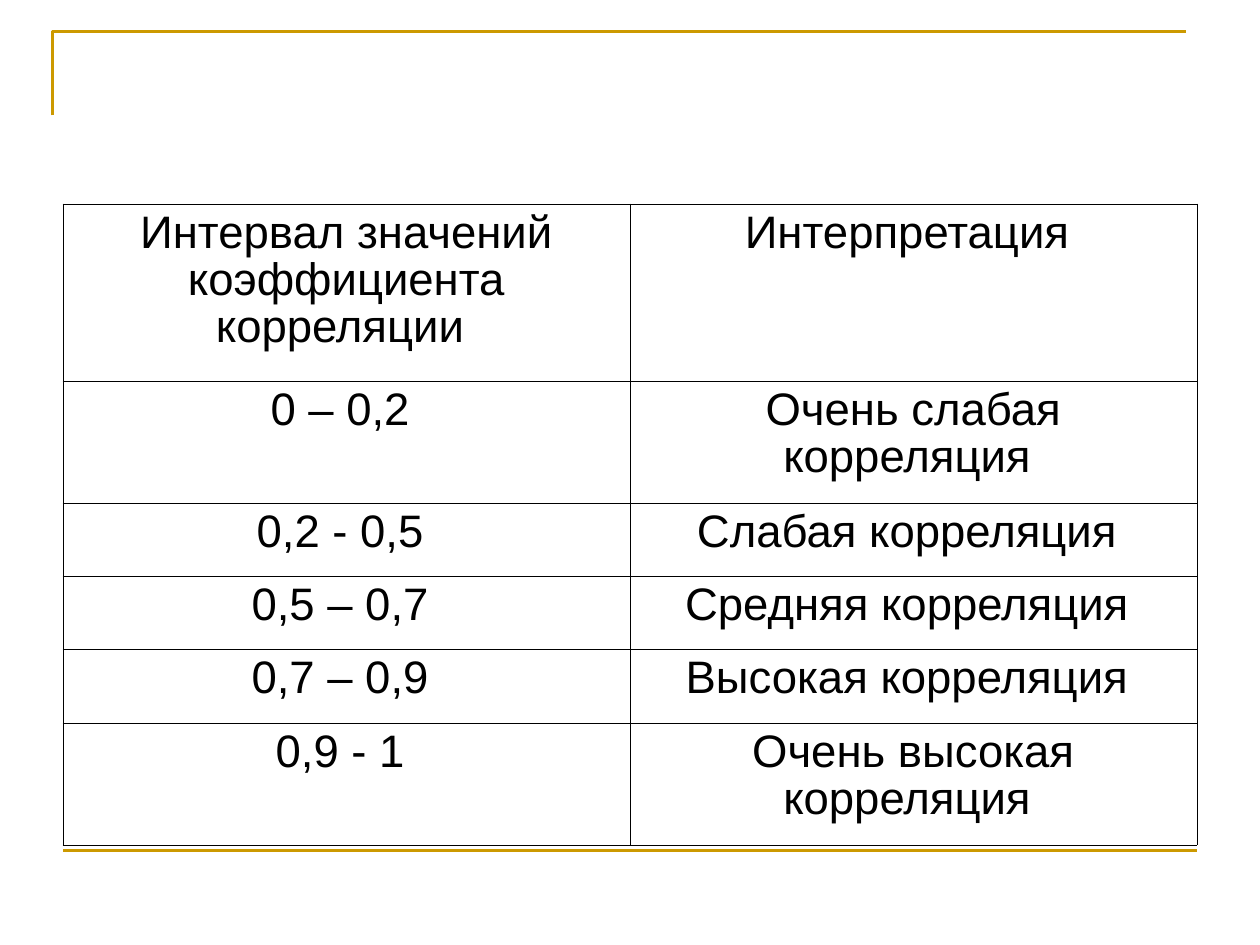
from lxml.etree import SubElement
from pptx import Presentation
from pptx.dml.color import RGBColor
from pptx.enum.shapes import MSO_CONNECTOR
from pptx.enum.text import PP_ALIGN
from pptx.oxml import parse_xml
from pptx.oxml.ns import nsdecls, qn
from pptx.util import Pt

CORRELATION_SCALE = [
    ("Интервал значений коэффициента корреляции ", "Интерпретация "),
    ("0 – 0,2 ", "Очень слабая корреляция "),
    ("0,2 - 0,5 ", "Слабая корреляция "),
    ("0,5 – 0,7 ", "Средняя корреляция "),
    ("0,7 – 0,9 ", "Высокая корреляция "),
    ("0,9 - 1 ", "Очень высокая корреляция "),
]
ROW_HEIGHTS = [101, 69.8, 41.9, 41.9, 41.9, 69.8]
THEME = {
    "font": "Arial", "size": 26, "text": "000000",
    "accent": "CC9900", "accent_width": 1.5,
    "border": "000000", "outer_width": 0.5, "inner_width": 0.23,
}
SLIDE_WIDTH, SLIDE_HEIGHT = 720, 540
MARGIN, SCALE_TOP, FOOTER_Y = 36, 116.64, 486
CORNER_LEFT, CORNER_TOP, CORNER_WIDTH, CORNER_HEIGHT = 30, 18, 648, 48


def write_text(frame, text, *, size, color, font, align, spacing, before):
    paragraph = frame.paragraphs[0]
    paragraph.alignment = align
    paragraph.line_spacing = spacing
    paragraph.space_before = Pt(before)
    run = paragraph.add_run()
    run.text = text
    run.font.size = Pt(size)
    run.font.name = font
    run.font.color.rgb = RGBColor.from_string(color)


def style_accent(line):
    line.color.rgb = RGBColor.from_string(THEME["accent"])
    line.width = Pt(THEME["accent_width"])


def draw_borders(cell, outer_sides):
    properties = cell._tc.get_or_add_tcPr()
    for position, side in enumerate("LRTB"):
        width = THEME["outer_width" if side in outer_sides else "inner_width"]
        border = parse_xml(
            f'<a:ln{side} {nsdecls("a")} w="{Pt(width)}"><a:solidFill>'
            f'<a:srgbClr val="{THEME["border"]}"/></a:solidFill></a:ln{side}>'
        )
        properties.insert(position, border)


def add_frame_lines(shapes):
    builder = shapes.build_freeform(Pt(CORNER_LEFT), Pt(CORNER_TOP + CORNER_HEIGHT))
    builder.add_line_segments(
        [(Pt(CORNER_LEFT), Pt(CORNER_TOP)),
         (Pt(CORNER_LEFT + CORNER_WIDTH), Pt(CORNER_TOP))],
        close=False,
    )
    corner = builder.convert_to_shape()
    corner.shadow.inherit = False
    corner.fill.background()
    style_accent(corner.line)

    footer_rule = shapes.add_connector(
        MSO_CONNECTOR.STRAIGHT, Pt(MARGIN), Pt(FOOTER_Y),
        Pt(SLIDE_WIDTH - MARGIN), Pt(FOOTER_Y),
    )
    style_accent(footer_rule.line)
    SubElement(footer_rule._element.spPr, qn("a:effectLst"))


def add_correlation_scale(shapes):
    last_row, last_column = len(CORRELATION_SCALE) - 1, len(CORRELATION_SCALE[0]) - 1
    scale = shapes.add_table(
        last_row + 1, last_column + 1, Pt(MARGIN), Pt(SCALE_TOP),
        Pt(SLIDE_WIDTH - 2 * MARGIN), Pt(sum(ROW_HEIGHTS)),
    ).table
    scale.first_row = scale.horz_banding = False
    for row, (height, entries) in enumerate(zip(ROW_HEIGHTS, CORRELATION_SCALE)):
        scale.rows[row].height = Pt(height)
        for column, entry in enumerate(entries):
            cell = scale.cell(row, column)
            cell.fill.background()
            write_text(
                cell.text_frame, entry, size=THEME["size"], color=THEME["text"],
                font=THEME["font"], align=PP_ALIGN.CENTER, spacing=0.93, before=6.5,
            )
            edges = {"L": column == 0, "R": column == last_column,
                     "T": row == 0, "B": row == last_row}
            draw_borders(cell, [side for side, outer in edges.items() if outer])


def main():
    """Build the slide that interprets correlation coefficient intervals."""
    deck = Presentation()
    deck.slide_width, deck.slide_height = Pt(SLIDE_WIDTH), Pt(SLIDE_HEIGHT)
    slide = deck.slides.add_slide(deck.slide_layouts[6])
    add_frame_lines(slide.shapes)
    add_correlation_scale(slide.shapes)
    deck.save("out.pptx")


if __name__ == "__main__":
    main()
